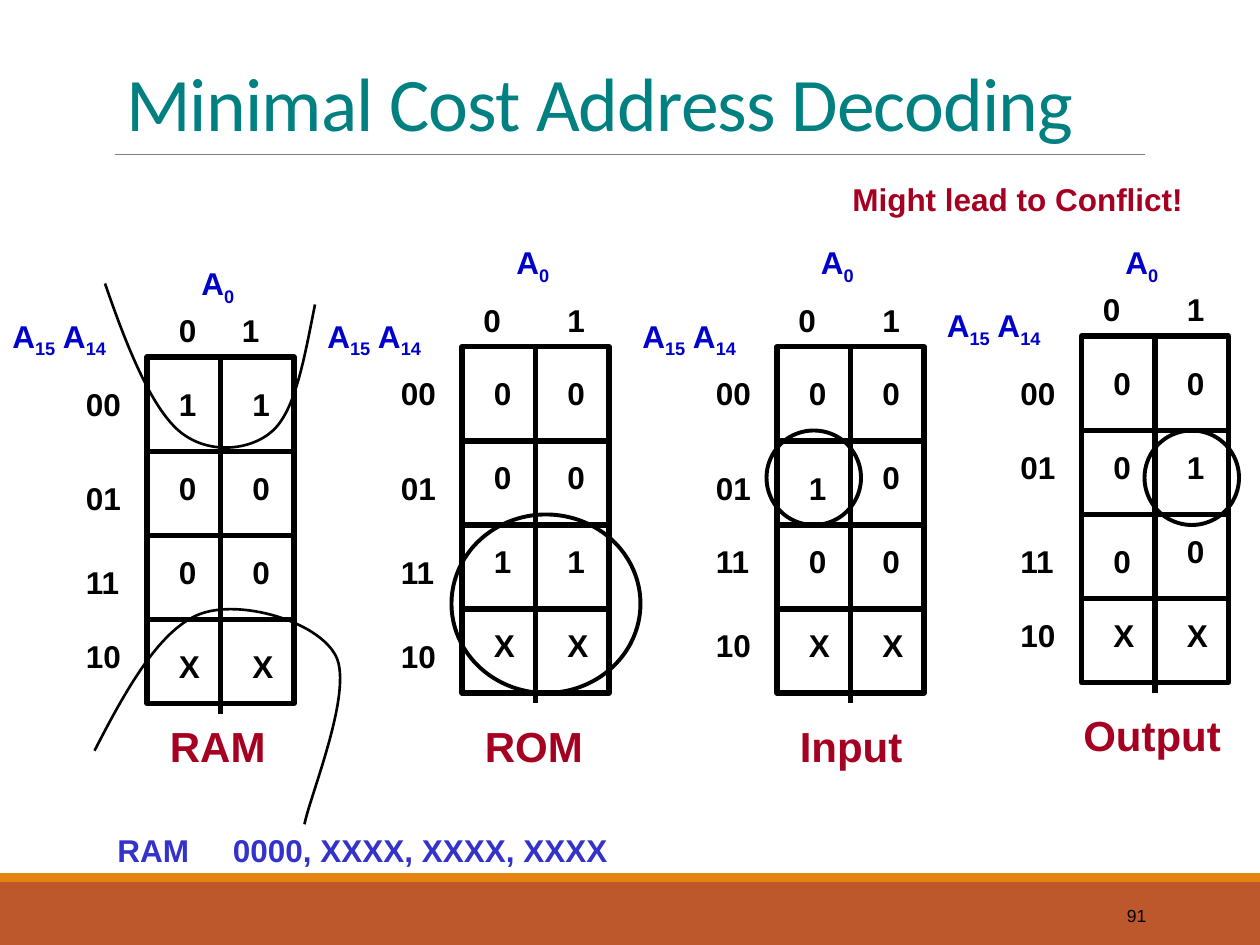
from lxml import etree
from pptx import Presentation
from pptx.dml.color import RGBColor
from pptx.enum.shapes import MSO_CONNECTOR, MSO_SHAPE
from pptx.enum.text import MSO_ANCHOR, PP_ALIGN
from pptx.oxml.ns import qn
from pptx.util import Pt

COLORS = {
    "black": "000000", "teal": "008080", "gray": "808080", "red": "A50021",
    "blue": "0000CC", "indigo": "3333CC", "rust": "BD582C", "orange": "E48312",
}

deck = Presentation()
deck.slide_width, deck.slide_height = Pt(720), Pt(540)
page = deck.slides.add_slide(deck.slide_layouts[6])


def add_text(text, left, top, width, height, size=18, color="black", bold=True,
             font="Arial", anchor=MSO_ANCHOR.BOTTOM, inset=7.2, tab=None):
    box = page.shapes.add_textbox(Pt(left), Pt(top), Pt(width), Pt(height))
    frame = box.text_frame
    frame.word_wrap = True
    frame.vertical_anchor = anchor
    frame.margin_left = Pt(inset)
    frame.margin_right = 0
    para = frame.paragraphs[0]
    if tab:
        tabs = etree.SubElement(para._p.get_or_add_pPr(), qn("a:tabLst"))
        etree.SubElement(tabs, qn("a:tab"), pos=str(Pt(tab)), algn="l")
    para.font.name = font
    para.font.size = Pt(size)
    para.font.bold = bold
    para.font.color.rgb = RGBColor.from_string(COLORS[color])
    for index, part in enumerate(text.split("_")):
        span = para.add_run()
        span.text = part
        if index % 2:
            span._r.get_or_add_rPr().set("baseline", "-25000")
    return para


def add_line(start, end, color="black", weight=3):
    line = page.shapes.add_connector(MSO_CONNECTOR.STRAIGHT, *map(Pt, start + end))
    line.line.color.rgb = RGBColor.from_string(COLORS[color])
    line.line.width = Pt(weight)
    etree.SubElement(line._element.spPr, qn("a:effectLst"))
    return line


for color, top, height in (("rust", 504, 36), ("orange", 499, 5)):
    band = page.shapes.add_shape(MSO_SHAPE.RECTANGLE, 0, Pt(top), Pt(720), Pt(height))
    band.fill.solid()
    band.fill.fore_color.rgb = RGBColor.from_string(COLORS[color])
    band.line.fill.background()
    band.shadow.inherit = False

add_line((65.5, 88.5), (654.5, 88.5), "gray", 0.5)
number = add_text("91", 585, 508.5, 70, 29, 10, bold=False, anchor=MSO_ANCHOR.MIDDLE)
number.alignment = PP_ALIGN.RIGHT
title = add_text("Minimal Cost Address Decoding", 65, 22.5, 594, 65.5, 43.2, "teal",
                 bold=False, font="Calibri")
title.line_spacing = 0.9
title.runs[0]._r.get_or_add_rPr().set("spc", "-50")

maps = [
    {"name": "RAM", "left": 84, "top": 204, "columns": (6, 42), "bit": (108, 150),
     "caption": 6, "address": 180, "labels": (216, 270, 318, 360),
     "cells": ("11", "00", "00", "XX"),
     "tops": ((216, 216), (264, 264), (312, 312), (366, 366)), "circle": None},
    {"name": "ROM", "left": 264, "top": 198, "columns": (0, 48), "bit": (288, 138),
     "caption": 6, "address": 180, "labels": (210, 264, 312, 360),
     "cells": ("00", "00", "11", "XX"),
     "tops": ((210, 210), (258, 258), (306, 306), (354, 354)),
     "circle": (258, 294, 108, 102)},
    {"name": "Input", "left": 444, "top": 198, "columns": (0, 48), "bit": (462, 138),
     "caption": 6, "address": 180, "labels": (210, 264, 306, 354),
     "cells": ("00", "10", "00", "XX"),
     "tops": ((210, 210), (264, 258), (306, 306), (354, 354)),
     "circle": (438, 246, 54, 54)},
    {"name": "Output", "left": 618, "top": 192, "columns": (0, 48), "bit": (636, 138),
     "caption": -6, "address": 174, "labels": (210, 252, 306, 348),
     "cells": ("00", "01", "00", "XX"),
     "tops": ((204, 204), (252, 252), (306, 300), (348, 348)),
     "circle": (654, 246, 54, 54)},
]

for table in maps:
    left, top = table["left"], table["top"]
    outlines = [(MSO_SHAPE.RECTANGLE, (left, top, 84, 198), 3)]
    if table["circle"]:
        outlines.append((MSO_SHAPE.OVAL, table["circle"], 2.25))
    shapes = []
    for kind, bounds, weight in outlines:
        shape = page.shapes.add_shape(kind, *map(Pt, bounds))
        shape.fill.background()
        shape.line.color.rgb = RGBColor.from_string(COLORS["black"])
        shape.line.width = Pt(weight)
        shape.shadow.inherit = False
        shapes.append(shape)
    for offset in (54, 102, 150):
        add_line((left, top + offset), (left + 84, top + offset))
    divider = add_line((left + 42, top), (left + 42, top + 204))
    divider.begin_connect(shapes[0], 0)

    add_text(table["name"], left + table["caption"], top + (204 if top == 204 else 210),
             108, 36, 24, "red")
    add_text("A_15_ A_14", left - 84, table["address"], 86, 29, color="blue")
    add_text("A_0", *table["bit"], 34, 29, color="blue")
    for bit, offset in zip("01", table["columns"]):
        add_text(bit, left + offset, top - 30, 32, 29, inset=12.2)
    for code, label_top in zip(("00", "01", "11", "10"), table["labels"]):
        add_text(code, left - 42, label_top, 35, 29)
    for values, tops in zip(table["cells"], table["tops"]):
        for value, cell_top, offset in zip(values, tops, (6, 48)):
            add_text(value, left + offset, cell_top, 32, 29, inset=12.2)

curves = [
    [(54, 429), (72.5, 394.5), (91, 360), (114, 351), (137, 342), (182, 355),
     (192, 375), (202, 395), (177, 455), (174, 471)],
    [(60, 162), (72.5, 197), (85.5, 232), (102, 246), (118, 260), (143, 258),
     (156, 246), (169, 234), (174, 204), (180, 174)],
]
for points in curves:
    builder = page.shapes.build_freeform(*points[0], scale=Pt(1))
    builder.add_line_segments(points[1:], close=False)
    loop = builder.convert_to_shape()
    loop.fill.background()
    loop.line.color.rgb = RGBColor.from_string(COLORS["black"])
    loop.line.width = Pt(1.5)
    loop.shadow.inherit = False
    segments = list(loop._element.iter(qn("a:lnTo")))
    outline = segments[0].getparent()
    for first in range(0, len(segments), 3):
        bezier = etree.SubElement(outline, qn("a:cubicBezTo"))
        for segment in segments[first:first + 3]:
            bezier.append(segment[0])
            outline.remove(segment)

add_text("RAM\t0000, XXXX, XXXX, XXXX", 60, 474, 310, 26.5, color="indigo",
         tab=66).line_spacing = 0.9
add_text("Might lead to Conflict!", 480, 102, 204, 26.5, color="red").line_spacing = 0.9

deck.save("out.pptx")
